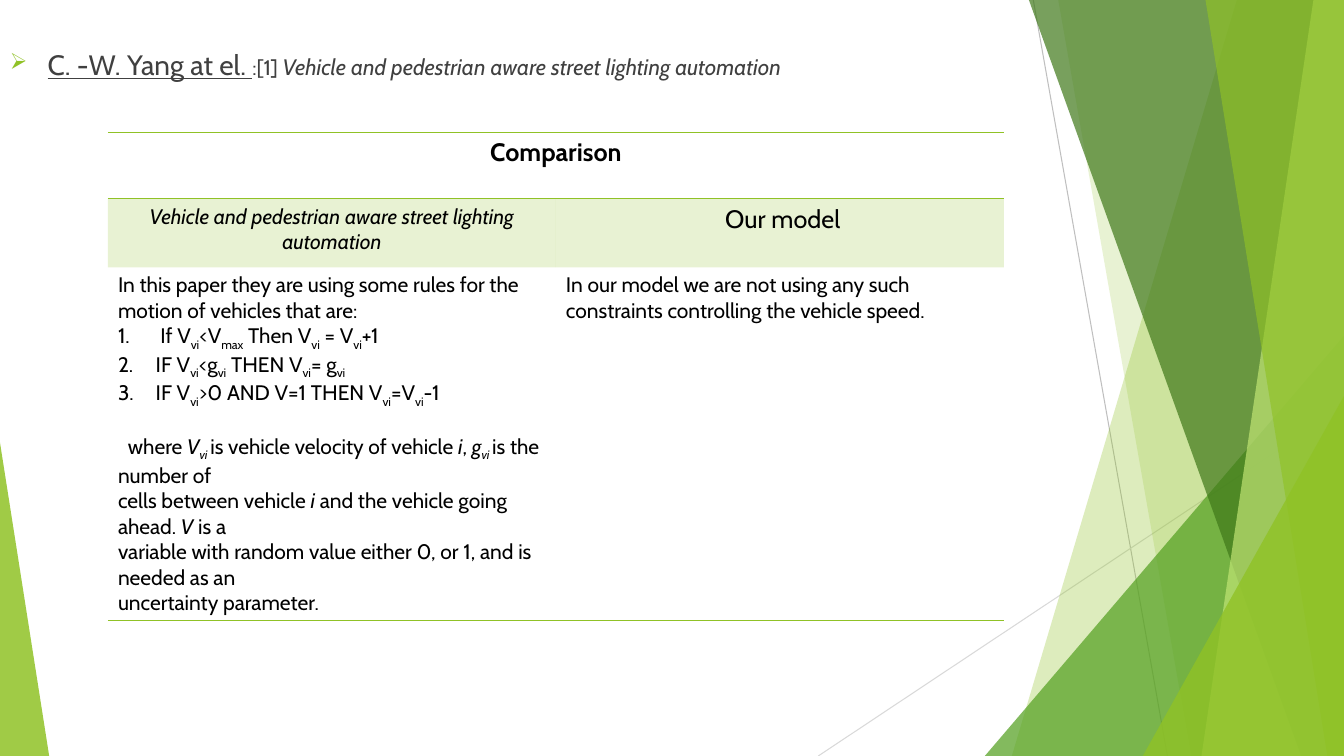
from lxml import etree
from pptx import Presentation
from pptx.dml.color import RGBColor
from pptx.enum.shapes import MSO_CONNECTOR, MSO_SHAPE
from pptx.enum.text import PP_ALIGN
from pptx.oxml.ns import qn
from pptx.util import Cm, Pt

STRAIGHT = MSO_CONNECTOR.STRAIGHT
TRIANGLE = MSO_SHAPE.ISOSCELES_TRIANGLE
CENTER, LEFT = PP_ALIGN.CENTER, PP_ALIGN.LEFT
FONT = "Cabin"
GREEN = "90C226"
WIDTH, HEIGHT = 33.87, 19.05
NO_TABLE_STYLE = "{2D5ABB26-0587-4C30-8999-92F81FD0307C}"


def set_fill(fill, props, color, alpha):
    """Fill with a hex colour at alpha percent; props is the XML holding the fill."""
    fill.solid()
    fill.fore_color.rgb = RGBColor.from_string(color)
    clr = next(props.iter(qn("a:srgbClr")))
    etree.SubElement(clr, qn("a:alpha"), val=str(alpha * 1000))


def add_marked_text(p, text, size, align=LEFT):
    """Add runs to p: *...* is italic and _..._ is subscript."""
    p.alignment = align
    p.font.size, p.font.name = Pt(size), FONT
    p.font.color.rgb = RGBColor.from_string("000000")
    for i, segment in enumerate(text.split("*")):
        for j, part in enumerate(segment.split("_")):
            if not part:
                continue
            r = p.add_run()
            r.text = part
            if i % 2:
                r.font.italic = True
            if j % 2:
                r.font._element.set("baseline", "-25000")


prs = Presentation()
prs.slide_width, prs.slide_height = Cm(WIDTH), Cm(HEIGHT)
s = prs.slides.add_slide(prs.slide_layouts[6])

# Thin lines behind the green facets
for x1, y1, x2, y2, color in [
    (26.04, 0, 29.42, HEIGHT, "BFBFBF"),
    (WIDTH, 10.24, 20.62, HEIGHT, "D9D9D9"),
]:
    line = s.shapes.add_connector(STRAIGHT, Cm(x1), Cm(y1), Cm(x2), Cm(y2))
    line.line.color.rgb = RGBColor.from_string(color)
    line.line.width = Pt(0.75)
    etree.SubElement(line._element.spPr, qn("a:effectLst"))

# Facets: a band is (top x, bottom x) and reaches the right edge;
# a triangle is (left, top, width, apex) and stands on the bottom edge
facets = [
    ((31.17, 25.5), GREEN, 30),
    ((26.67, 30.02), GREEN, 20),
    ((24.82, 8.46, 9.05, 1), "54A021", 72),
    ((25.93, 32.79), "3F7819", 70),
    ((33.1, 30.28), "C0E474", 70),
    ((30.38, 33.45), GREEN, 65),
    ((28.8, 9.98, 5.07, 1), GREEN, 80),
    ((0, 11.15, 1.24, 0), GREEN, 85),
]
for geometry, color, alpha in facets:
    if len(geometry) == 2:
        top_x, bottom_x = geometry
        outline = s.shapes.build_freeform(Cm(top_x), 0)
        corners = [(WIDTH, 0), (WIDTH, HEIGHT), (bottom_x, HEIGHT)]
        outline.add_line_segments([(Cm(x), Cm(y)) for x, y in corners])
        sp = outline.convert_to_shape()
    else:
        left, top, width, apex = geometry
        sp = s.shapes.add_shape(TRIANGLE, Cm(left), Cm(top), Cm(width), Cm(HEIGHT - top))
        sp.adjustments[0] = apex
    set_fill(sp.fill, sp._element.spPr, color, alpha)
    sp.line.fill.background()
    sp.shadow.inherit = False

# Reference line at the top
tf = s.shapes.add_textbox(0, Cm(1.07), Cm(23.88), Cm(1.19)).text_frame
tf.word_wrap = True
p = tf.paragraphs[0]
p.font.name = FONT
pPr = p._p.get_or_add_pPr()
pPr.set("marL", str(Cm(0.95)))
pPr.set("indent", str(Cm(-0.95)))
bullet_color = etree.Element(qn("a:buClr"))
etree.SubElement(bullet_color, qn("a:srgbClr"), val=GREEN)
bullet_size = etree.Element(qn("a:buSzPct"), val="80000")
bullet_char = etree.Element(qn("a:buChar"), char="➢")
for i, el in enumerate([bullet_color, bullet_size, bullet_char]):
    pPr.insert(i, el)
for text, size, underline, italic in [
    ("C. -W. Yang at el. ", 20, True, False),
    (":[1] ", 15, False, False),
    ("Vehicle and pedestrian aware street lighting automation", 16, False, True),
]:
    r = p.add_run()
    r.text = text
    r.font.size, r.font.underline, r.font.italic = Pt(size), underline, italic
    r.font.name = FONT
    r.font.color.rgb = RGBColor.from_string("404040")

# Comparison table
row_heights = [1.68, 1.73, 8.89]
frame = s.shapes.add_table(3, 2, Cm(2.72), Cm(3.33), Cm(22.58), Cm(sum(row_heights)))
table = frame.table
table.first_row = table.horz_banding = False
next(table._tbl.iter(qn("a:tableStyleId"))).text = NO_TABLE_STYLE
for row, height in zip(table.rows, row_heights):
    row.height = Cm(height)
table.cell(0, 0).merge(table.cell(0, 1))

row_borders = [["a:lnT", "a:lnB"], [], ["a:lnB"]]
for row, borders in zip(table.rows, row_borders):
    for cell in row.cells:
        tcPr = cell._tc.get_or_add_tcPr()
        if borders:
            cell.fill.background()
        else:
            set_fill(cell.fill, tcPr, GREEN, 20)
        for i, tag in enumerate(borders):
            ln = etree.Element(qn(tag), w=str(Pt(1)))
            solid = etree.SubElement(ln, qn("a:solidFill"))
            etree.SubElement(solid, qn("a:srgbClr"), val=GREEN)
            tcPr.insert(i, ln)

for row, col, text, size, align in [
    (0, 0, "Comparison", 18, CENTER),
    (1, 0, "*Vehicle and pedestrian aware street lighting automation*", 15, CENTER),
    (1, 1, " Our model", 18, CENTER),
    (2, 1, "In our model we are not using any such constraints "
           "controlling the vehicle speed.", 15, LEFT),
]:
    add_marked_text(table.cell(row, col).text_frame.paragraphs[0], text, size, align)
for r in table.cell(0, 0).text_frame.paragraphs[0].runs:
    r.font.bold = True

intro = "In this paper they are using some rules for the motion of vehicles that are:"
rules = [
    " If V_vi_<V_max_ Then V_vi_ = V_vi_+1",
    "IF V_vi_<g_vi_ THEN V_vi_= g_vi_",
    "IF V_vi_>0 AND V=1 THEN V_vi_=V_vi_-1",
]
explanation = [
    "where *V_vi _*is vehicle velocity of vehicle *i*, *g_vi _*is the number of",
    "cells between vehicle *i *and the vehicle going ahead. *V *is a",
    "variable with random value either 0, or 1, and is needed as an",
    "uncertainty parameter.",
]
tf = table.cell(2, 0).text_frame
add_marked_text(tf.paragraphs[0], intro, 15)
for text in rules:
    p = tf.add_paragraph()
    add_marked_text(p, text, 15)
    pPr = p._p.get_or_add_pPr()
    pPr.set("marL", str(Cm(0.95)))
    pPr.set("indent", str(Cm(-0.95)))
    pPr.insert(0, etree.Element(qn("a:buAutoNum"), type="arabicPeriod"))
for i, text in enumerate(explanation):
    p = tf.add_paragraph()
    add_marked_text(p, text, 15)
    if i == 0:
        p.space_before = Pt(18)
        p._p.get_or_add_pPr().set("indent", str(Cm(0.25)))

prs.save("out.pptx")
